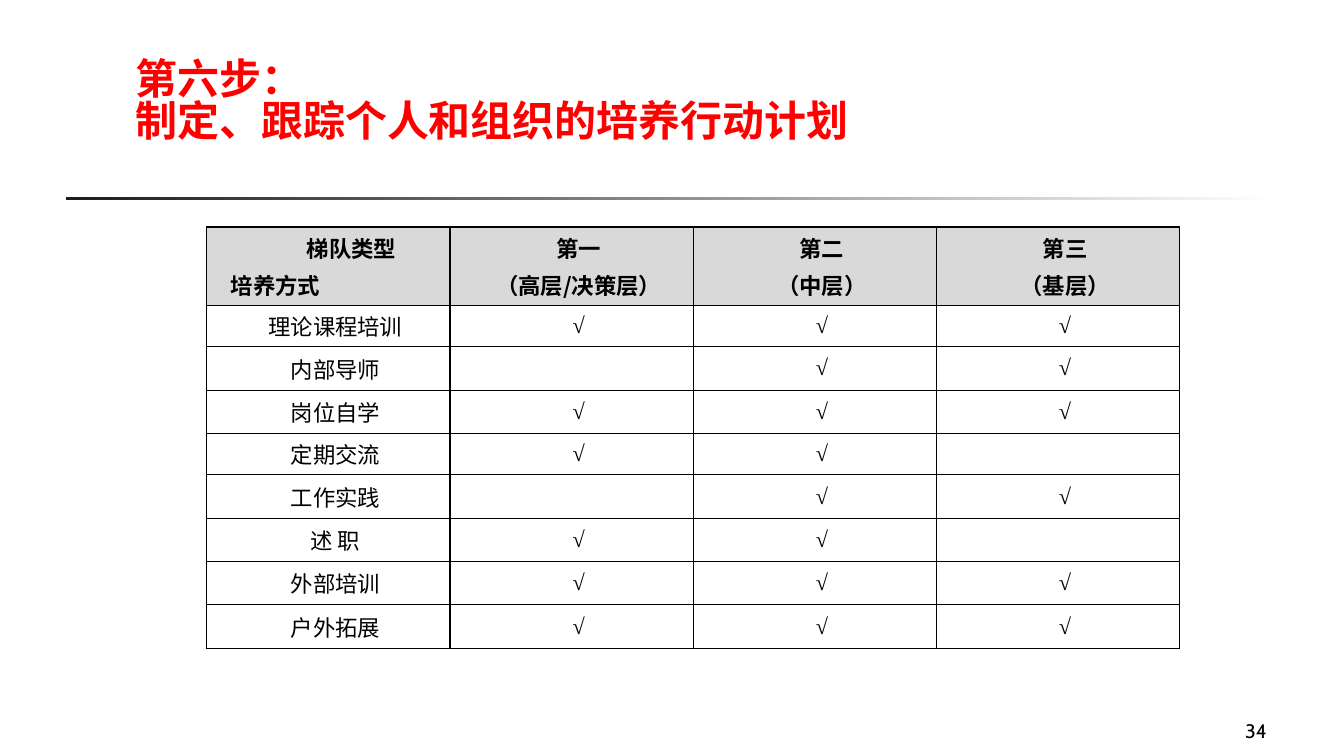
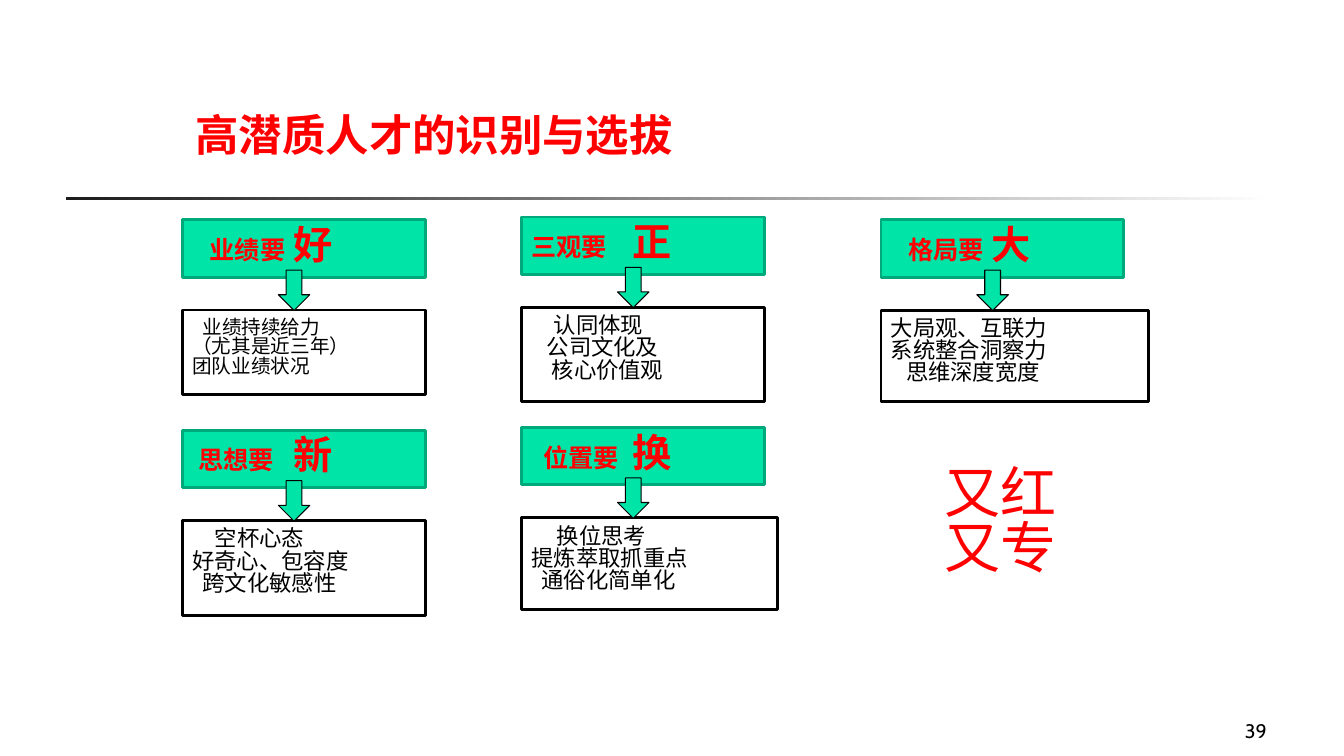
from lxml import etree
from pptx import Presentation
from pptx import util as u
from pptx.dml.color import RGBColor
from pptx.enum import shapes, text
from pptx.oxml import ns

Pt = u.Pt
RED = RGBColor(0xFF, 0x00, 0x00)
BLACK = RGBColor(0x00, 0x00, 0x00)
WHITE = RGBColor(0xFF, 0xFF, 0xFF)
CHARCOAL = RGBColor(0x1C, 0x1C, 0x1C)
GREY = RGBColor(0xD9, 0xD9, 0xD9)
GREEN = RGBColor(0x00, 0xE4, 0xA8)
DARK_GREEN = RGBColor(0x00, 0xA9, 0x7C)

HAN, LATIN, SERIF = "Noto Sans CJK SC", "Cabin", "Times New Roman"
ALIGN = text.PP_ALIGN
TOP, MIDDLE, BOTTOM = (text.MSO_ANCHOR.TOP, text.MSO_ANCHOR.MIDDLE,
                       text.MSO_ANCHOR.BOTTOM)
TIGHT = 0.83


def style(target, formats):
    for name, value in formats.items():
        setattr(target, name, value)


def add_xml(parent, tag, **attributes):
    return etree.SubElement(parent, ns.qn(tag), attributes)


class Deck:
    """Holds the presentation, the shared style and the current slide."""

    def __init__(self):
        self.prs = Presentation()
        style(self.prs, {"slide_width": Pt(960), "slide_height": Pt(540)})
        self.layout = self.prs.slide_layouts[5]
        self.slide = None

    def new_slide(self, title, number, box, anchor):
        first = self.slide is None
        self.slide = self.prs.slides.add_slide(self.layout)
        if first:
            self.rule_on_layout()
        self.title(title, box, anchor)
        self.page_number(number)

    def rule_on_layout(self):
        """Draws the fading rule once and hands it to the shared layout."""
        rule = self.block(shapes.MSO_SHAPE.RECTANGLE, (47, 140.5, 863, 2.5), WHITE)
        rule.fill.gradient()
        rule.fill.gradient_angle = 0
        for stop, colour in zip(rule.fill.gradient_stops, (CHARCOAL, WHITE)):
            stop.color.rgb = colour
        rule.element.nvSpPr.cNvPr.set("id", "50")
        self.layout.shapes.element.append(rule.element)

    def title(self, wording, box, anchor):
        holder = self.slide.shapes.title
        style(holder, dict(zip(("left", "top", "width", "height"), map(Pt, box))))
        self.frame(holder.text_frame, anchor, top=6.5, bottom=2)
        size = 30 if "\v" in wording else 31
        self.put_text(holder.text_frame.paragraphs[0], [(wording, size)],
                      colour=RED, bold=True, spacing=TIGHT)

    def page_number(self, number):
        box = self.textbox((712, 498, 200, 36), BOTTOM)
        self.put_text(box.paragraphs[0], [(number, 14)], font=LATIN,
                      align=ALIGN.RIGHT)

    def frame(self, frame, anchor, top=3.6, bottom=3.6):
        style(frame, {"word_wrap": True, "auto_size": text.MSO_AUTO_SIZE.NONE,
                      "vertical_anchor": anchor, "margin_left": Pt(7.2),
                      "margin_right": Pt(7.2), "margin_top": Pt(top),
                      "margin_bottom": Pt(bottom)})
        return frame

    def textbox(self, box, anchor=TOP, top=3.6):
        shape = self.slide.shapes.add_textbox(*map(Pt, box))
        return self.frame(shape.text_frame, anchor, top)

    def block(self, kind, box, fill, line=None, weight=2):
        shape = self.slide.shapes.add_shape(kind, *map(Pt, box))
        shape.shadow.inherit = False
        shape.fill.solid()
        shape.fill.fore_color.rgb = fill
        if line is None:
            shape.line.fill.background()
        else:
            shape.line.color.rgb = line
            shape.line.width = Pt(weight)
        return shape

    def put_text(self, paragraph, parts, colour=BLACK, font=HAN, han_font=HAN,
                 bold=False, align=ALIGN.LEFT, spacing=1.0, after=0, indent=0,
                 tab=None):
        """Fills a paragraph with (wording, size) parts; tab is a stop in points."""
        style(paragraph, {"alignment": align, "line_spacing": spacing,
                          "space_before": Pt(0), "space_after": Pt(after)})
        properties = paragraph._p.get_or_add_pPr()
        properties.set("marL", "0")
        properties.set("indent", str(Pt(indent)))
        if tab is not None:
            stops = add_xml(properties, "a:tabLst")
            add_xml(stops, "a:tab", pos=str(Pt(tab)), algn="l")
        for wording, size in parts:
            for position, line in enumerate(wording.split("\v")):
                if position:
                    paragraph.add_line_break()
                run = paragraph.add_run()
                run.text = line
                style(run.font, {"name": font, "size": Pt(size), "bold": bold})
                run.font.color.rgb = colour
                add_xml(run._r.get_or_add_rPr(), "a:ea", typeface=han_font)

    def lines(self, frame, rows, size, **formats):
        """Adds one paragraph per (wording, indent) row."""
        for position, (wording, indent) in enumerate(rows):
            paragraph = frame.add_paragraph() if position else frame.paragraphs[0]
            self.put_text(paragraph, [(wording, size)], indent=indent, **formats)

    def card(self, left, top, lead, key, indent, tab, traits, size, width, height):
        """A green heading bar with an arrow down to a panel of traits."""
        rectangle = shapes.MSO_SHAPE.RECTANGLE
        bar = self.block(rectangle, (left, top, 173.5, 41), GREEN, DARK_GREEN)
        heading = self.frame(bar.text_frame, TOP, top=6)
        self.put_text(heading.paragraphs[0], [(lead + "\t", 18), (key, 28)],
                      colour=RED, bold=True, spacing=TIGHT, indent=indent, tab=tab)
        panel = self.block(rectangle, (left, top + 64.5, width, height), WHITE, BLACK)
        self.lines(self.frame(panel.text_frame, TOP, top=6), traits, size,
                   spacing=TIGHT)
        self.block(shapes.MSO_SHAPE.DOWN_ARROW, (left + 68.5, top + 36, 22.5, 28.8),
                   GREEN, BLACK, 0.75)

    def table(self, box, heights, header, body):
        grid = self.slide.shapes.add_table(len(heights), len(header),
                                           *map(Pt, box)).table
        style(grid, {"first_row": False, "horz_banding": False})
        for column in grid.columns:
            column.width = Pt(box[2] / len(header))
        for row, height in zip(grid.rows, heights):
            row.height = Pt(height)
        for column, rows in enumerate(header):
            cell = self.cell(grid.cell(0, column), GREY)
            self.lines(cell.text_frame, rows, 16, bold=True, align=ALIGN.CENTER,
                       after=3.6)
        grid.cell(0, 0).text_frame.paragraphs[1].alignment = ALIGN.JUSTIFY
        for row, (method, marks) in enumerate(body, 1):
            for column, wording in enumerate((method, *marks)):
                cell = self.cell(grid.cell(row, column))
                if wording.strip():
                    self.lines(cell.text_frame, [(wording, 10)], 16, font=SERIF,
                               han_font=SERIF if column else HAN, bold=column > 0,
                               align=ALIGN.CENTER, after=3.6)

    def cell(self, cell, fill=None):
        style(cell, {"vertical_anchor": MIDDLE, "margin_left": Pt(7.2),
                     "margin_right": Pt(7.2), "margin_top": 0, "margin_bottom": 0})
        if fill is None:
            cell.fill.background()
        else:
            cell.fill.solid()
            cell.fill.fore_color.rgb = fill
        properties = cell._tc.get_or_add_tcPr()
        for position, side in enumerate("LRTB"):
            border = add_xml(properties, f"a:ln{side}", w=str(Pt(1)))
            add_xml(add_xml(border, "a:solidFill"), "a:srgbClr", val=str(BLACK))
            properties.insert(position, border)
        return cell


HEADER = [
    [("梯队类型", 33), ("培养方式", 10)],
    [("第一", 10), ("（高层/决策层）", 10)],
    [("第二", 10), ("（中层）", 10)],
    [("第三", 10), ("（基层）", 10)],
]
METHODS = [
    ("理论课程培训", "√√√"),
    ("内部导师", " √√"),
    ("岗位自学", "√√√"),
    ("定期交流", "√√ "),
    ("工作实践", " √√"),
    ("述 职", "√√ "),
    ("外部培训", "√√√"),
    ("户外拓展", "√√√"),
]
ROW_HEIGHTS = [56, 29.5, 31, 31, 29.5, 31, 31, 31, 31]

COLUMNS = [(130.3, 0), (372.6, -2), (629.3, 0)]
ROWS = [157, 307.4]
# column, row, lead, key, indent, tab, traits, size, panel width, panel height
CARDS = [
    (0, 0, "业绩要", "好", 12.4, 74.5,
     [("业绩持续给力", 7.2), ("（尤其是近三年）", 0), ("团队业绩状况", 0)], 14, 173.5, 60.5),
    (1, 0, "三观要", "正", 0, 70.5,
     [("认同体现", 16), ("公司文化及", 10.8), ("核心价值观", 14.4)], 16, 173.5, 67.5),
    (2, 0, "格局要", "大", 12.4, 74.5,
     [("大局观、互联力", 0), ("系统整合洞察力", 0), ("思维深度宽度", 10.8)], 16, 191, 65.5),
    (0, 1, "思想要", "新", 4.1, 70.5,
     [("空杯心态", 16), ("好奇心、包容度", 0), ("跨文化敏感性", 7.2)], 16, 173.5, 67.5),
    (1, 1, "位置要", "换", 8.2, 70.5,
     [("换位思考", 18), ("提炼萃取抓重点", 0), ("通俗化简单化", 7.2)], 16, 183, 65.5),
]


def main():
    deck = Deck()

    deck.new_slide("第六步：\v制定、跟踪个人和组织的培养行动计划", "34",
                   (89.3, 37.4, 702, 101.5), TOP)
    deck.table((147.7, 162.2, 695, 301), ROW_HEIGHTS, HEADER, METHODS)

    deck.new_slide("高潜质人才的识别与选拔", "39", (132.5, 49, 574.5, 67.7), BOTTOM)
    for column, row, *content in CARDS:
        left, shift = COLUMNS[column]
        deck.card(left, ROWS[row] + shift, *content)
    slogan = deck.textbox((667.5, 327, 126.7, 104.4), top=7.6)
    deck.lines(slogan, [("又红", 0), ("又专", 0)], 40, colour=RED, spacing=TIGHT)

    deck.prs.save("out.pptx")


if __name__ == "__main__":
    main()
